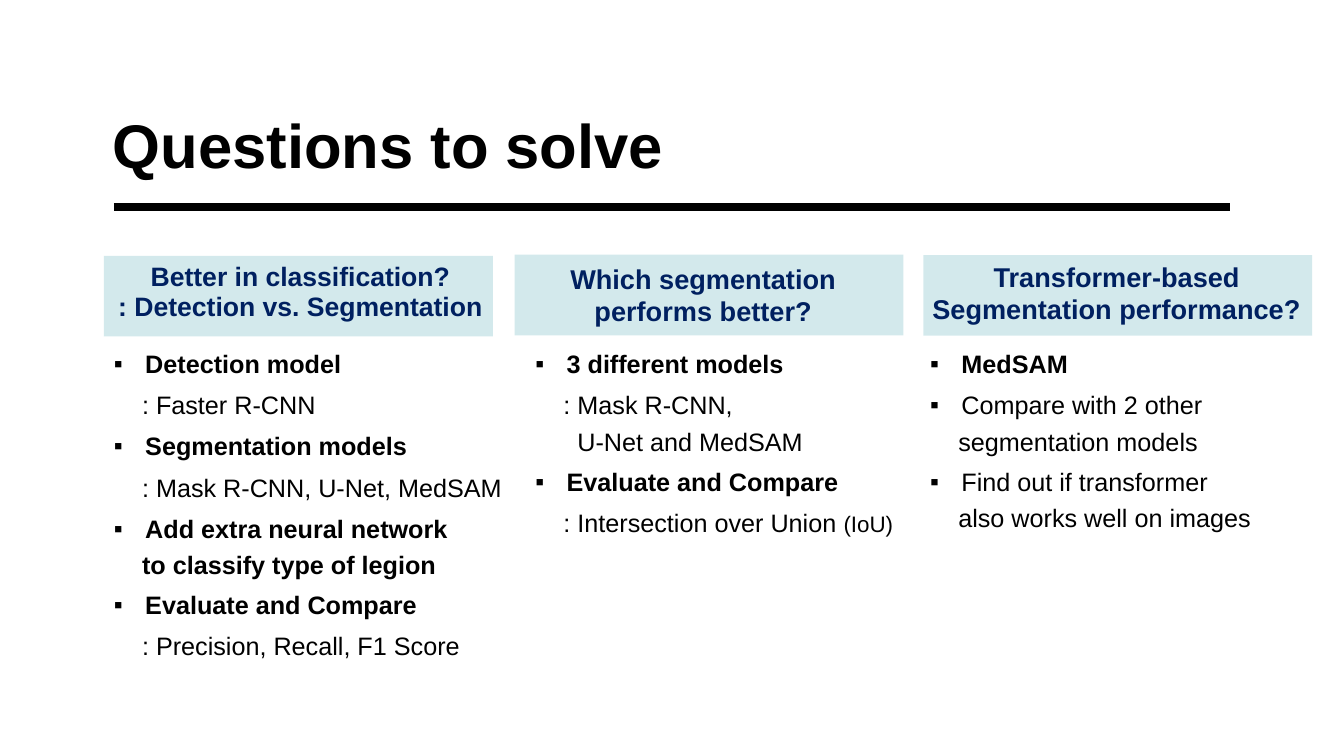
import pptx
import pptx.dml.color
import pptx.enum.dml
import pptx.enum.shapes
import pptx.enum.text
import pptx.oxml
import pptx.oxml.ns
import pptx.util
from lxml import etree
from pptx.util import Cm

FONT = "Arial"
BLACK, NAVY, TEAL = "000000", "002060", "A9D4DB"
TOPIC, DETAIL, POINT, TOPIC_WRAP, POINT_WRAP, DETAIL_WRAP = range(6)
STYLES = {
    TOPIC: (True, True, 0.79, 0.9),
    DETAIL: (False, False, 0.71, 0.9),
    POINT: (True, False, 0.79, 0.9),
    TOPIC_WRAP: (False, True, 0.71, 0.7),
    POINT_WRAP: (False, False, 0.71, 0.7),
    DETAIL_WRAP: (False, False, 1.06, 0.7),
}

COLUMNS = [
    {
        "panel": (2.62, 6.45),
        "heading_box": (2.21, 6.58, 10.72, 1.8),
        "heading": ["Better in classification?", ": Detection vs. Segmentation"],
        "heading_size": 19,
        "heading_wrap_spacing": 0.4,
        "list_box": (2.87, 8.86, 9.96, 10.19),
        "items": [
            (TOPIC, "Detection model"),
            (DETAIL, ": Faster R-CNN"),
            (TOPIC, "Segmentation models"),
            (DETAIL, ": Mask R-CNN, U-Net, MedSAM"),
            (TOPIC, "Add extra neural network"),
            (TOPIC_WRAP, "to classify type of legion"),
            (TOPIC, "Evaluate and Compare"),
            (DETAIL, ": Precision, Recall, F1 Score"),
        ],
    },
    {
        "panel": (12.97, 6.42),
        "heading_box": (13.56, 6.63, 8.33, 1.8),
        "heading": ["Which segmentation", "performs better?"],
        "heading_size": 19.4,
        "heading_wrap_spacing": 0.5,
        "list_box": (13.49, 8.86, 9.65, 5.38),
        "items": [
            (TOPIC, "3 different models"),
            (DETAIL, ": Mask R-CNN,"),
            (DETAIL_WRAP, "U-Net and MedSAM"),
            (TOPIC, "Evaluate and Compare"),
            (DETAIL, ": Intersection over Union ", "(IoU)"),
        ],
    },
    {
        "panel": (23.27, 6.43),
        "heading_box": (23.04, 6.58, 10.21, 1.8),
        "heading": ["Transformer-based", "Segmentation performance?"],
        "heading_size": 19.4,
        "heading_wrap_spacing": 0.5,
        "list_box": (23.44, 8.86, 8.66, 5.38),
        "items": [
            (TOPIC, "MedSAM"),
            (POINT, "Compare with 2 other"),
            (POINT_WRAP, "segmentation models"),
            (POINT, "Find out if transformer"),
            (POINT_WRAP, "also works well on images"),
        ],
    },
]


def color(value):
    return pptx.dml.color.RGBColor.from_string(value)


def add_element(parent, tag, **attributes):
    return etree.SubElement(parent, pptx.oxml.ns.qn(tag), attributes)


def place(shape, box):
    shape.left, shape.top, shape.width, shape.height = (Cm(length) for length in box)


def prepare_frame(shape, anchor, margins):
    frame = shape.text_frame
    frame.word_wrap = True
    frame.auto_size = pptx.enum.text.MSO_AUTO_SIZE.NONE
    frame.vertical_anchor = anchor
    frame.margin_left = frame.margin_right = Cm(margins[0])
    frame.margin_top = frame.margin_bottom = Cm(margins[1])
    return frame


def format_paragraph(paragraph, size, bold, font_color, spacing, before=0,
                     alignment=pptx.enum.text.PP_ALIGN.LEFT, indent=0, bullet=False):
    paragraph.alignment = alignment
    paragraph.line_spacing = spacing
    paragraph.space_before = pptx.util.Pt(before)
    properties = paragraph._p.get_or_add_pPr()
    properties.set("marL", str(Cm(indent)))
    properties.set("indent", str(-Cm(indent) if bullet else 0))
    if bullet:
        bullet_color = add_element(properties, "a:buClr")
        add_element(bullet_color, "a:srgbClr", val=BLACK)
        add_element(properties, "a:buFont", typeface=FONT)
        add_element(properties, "a:buChar", char="▪")
    else:
        add_element(properties, "a:buNone")
    font = paragraph.font
    font.name, font.size, font.bold = FONT, pptx.util.Pt(size), bold
    font.color.rgb = color(font_color)


def next_paragraph(frame, index):
    return frame.add_paragraph() if index else frame.paragraphs[0]


def build_title(slide, box):
    title = slide.shapes.title
    place(title, box)
    frame = prepare_frame(title, pptx.enum.text.MSO_ANCHOR.BOTTOM, (0, 0))
    frame.text = "Questions to solve"
    format_paragraph(frame.paragraphs[0], 44, True, BLACK, 0.9)
    left, top, width, height = box
    rule_top = top + height + 0.64
    rule = slide.shapes.add_connector(
        pptx.enum.shapes.MSO_CONNECTOR.STRAIGHT,
        Cm(left + 0.03), Cm(rule_top), Cm(left + 28.15), Cm(rule_top))
    rule.line.color.rgb = color(BLACK)
    rule.line.width = pptx.util.Pt(6)
    add_element(rule._element.spPr, "a:effectLst")


def build_panel(slide, box):
    panel = slide.shapes.add_shape(
        pptx.enum.shapes.MSO_SHAPE.RECTANGLE, *(Cm(length) for length in box))
    panel.shadow.inherit = False
    panel.line.fill.background()
    panel.fill.solid()
    panel.fill.fore_color.rgb = color(TEAL)
    fill_color = panel._element.spPr.find(".//" + pptx.oxml.ns.qn("a:srgbClr"))
    add_element(fill_color, "a:alpha", val="50000")
    panel._element.getparent().insert(2, panel._element)


def build_heading(shape, column):
    place(shape, column["heading_box"])
    frame = prepare_frame(shape, pptx.enum.text.MSO_ANCHOR.TOP, (0.25, 0.13))
    for index, text in enumerate(column["heading"]):
        paragraph = next_paragraph(frame, index)
        paragraph.add_run().text = text
        format_paragraph(
            paragraph, column["heading_size"], True, NAVY,
            column["heading_wrap_spacing"] if index else 0.8,
            before=10 if index else 0, alignment=pptx.enum.text.PP_ALIGN.CENTER)


def build_list(shape, column):
    place(shape, column["list_box"])
    frame = prepare_frame(shape, pptx.enum.text.MSO_ANCHOR.TOP, (0, 0))
    for index, (style, text, *small_texts) in enumerate(column["items"]):
        bullet, bold, indent, spacing = STYLES[style]
        paragraph = next_paragraph(frame, index)
        paragraph.add_run().text = text
        format_paragraph(paragraph, 18, bold, BLACK, spacing,
                         before=10 if index else 0, indent=indent, bullet=bullet)
        for small_text in small_texts:
            run = paragraph.add_run()
            run.text = small_text
            run.font.size = pptx.util.Pt(16)


def build_column(slide, column, heading, body):
    build_panel(slide, (*column["panel"], 9.8, 2.03))
    build_heading(heading, column)
    build_list(body, column)


def main():
    presentation = pptx.Presentation()
    presentation.slide_width, presentation.slide_height = Cm(33.87), Cm(19.05)
    slide = presentation.slides.add_slide(presentation.slide_layouts.get_by_name("Comparison"))
    build_title(slide, (2.84, 2.77, 21.69, 1.8))
    first_heading, *bodies = list(slide.placeholders)[1:]
    headings = [first_heading] + [slide.shapes.add_textbox(0, 0, 0, 0) for _ in COLUMNS[1:]]
    for column, heading, body in zip(COLUMNS, headings, bodies):
        build_column(slide, column, heading, body)
    presentation.save("out.pptx")


if __name__ == "__main__":
    main()
